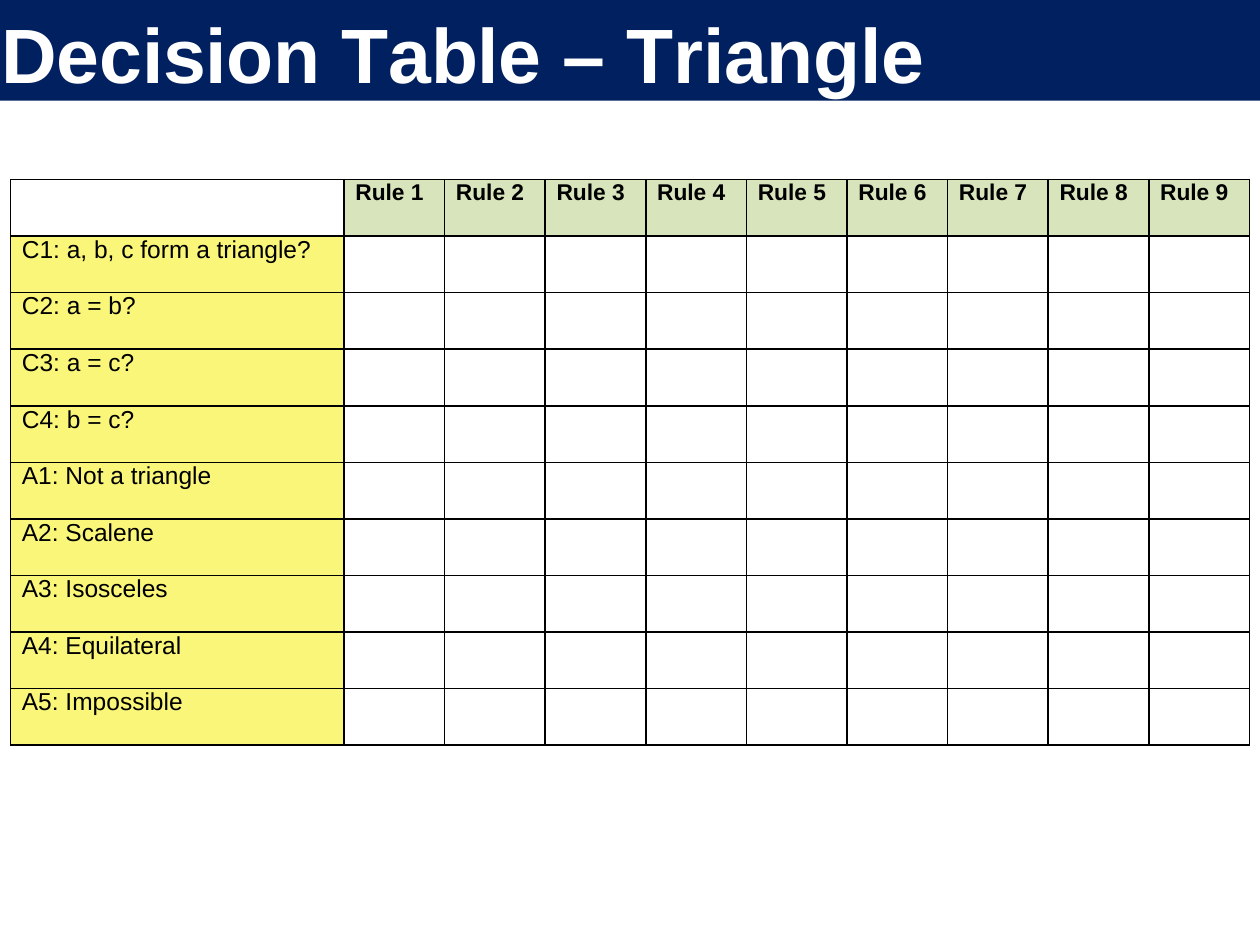
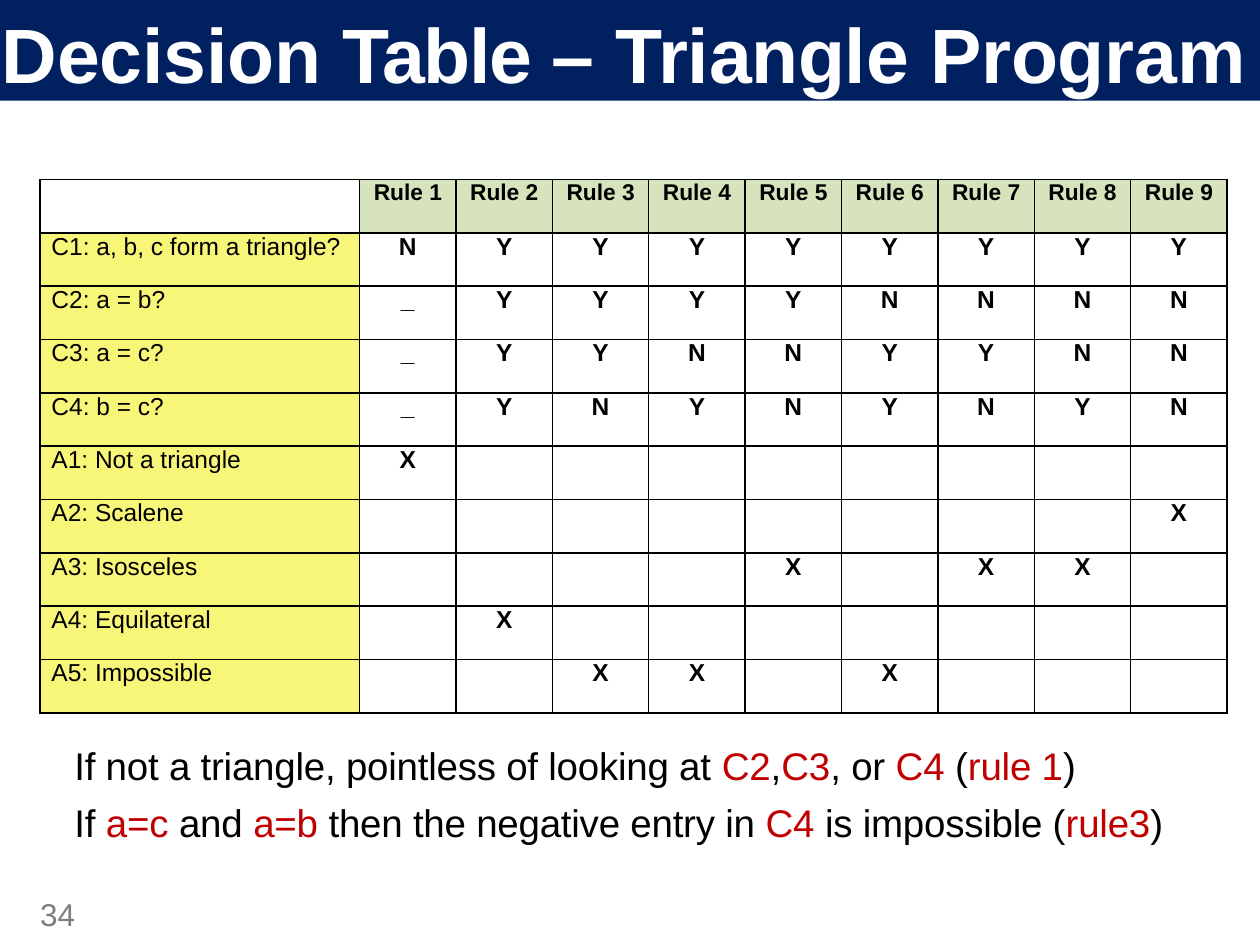
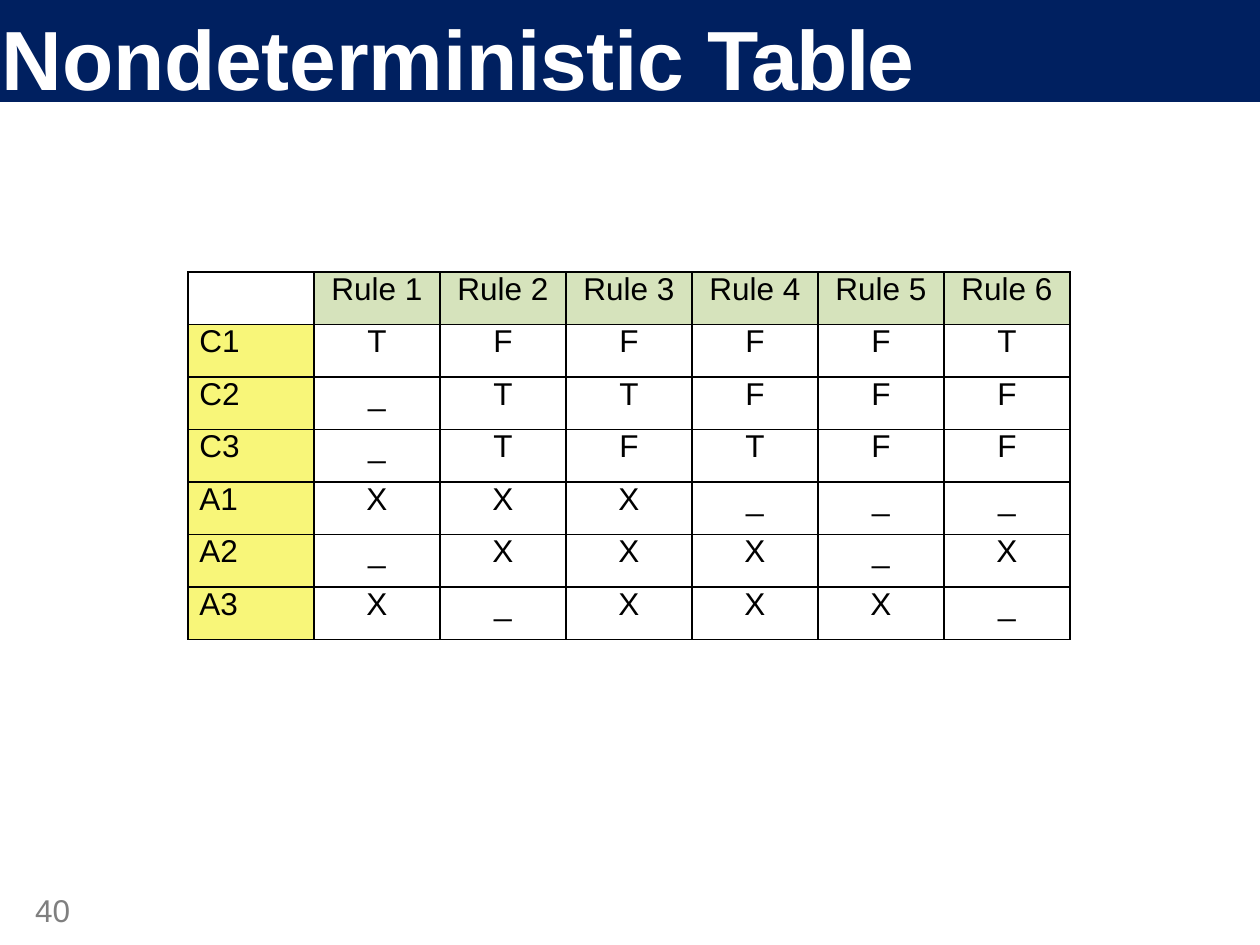
from itertools import cycle

from lxml import etree
from pptx import Presentation
from pptx.dml.color import RGBColor
from pptx.enum import shapes, text as text_enum
from pptx.oxml import ns
from pptx.util import Pt

FONT = "Arial"
NAVY, WHITE, BLACK, RED, GREY = "002060", "FFFFFF", "000000", "C00000", "7F7F7F"
PAGE_WIDTH, PAGE_HEIGHT = 720, 540
CELL_INDENT = 6.5
LEFT, CENTER = text_enum.PP_ALIGN.LEFT, text_enum.PP_ALIGN.CENTER

TRIANGLE_LABELS = [
    "C1: a, b, c form a triangle?", "C2: a = b?", "C3: a = c?", "C4: b = c?",
    "A1: Not a triangle", "A2: Scalene", "A3: Isosceles", "A4: Equilateral",
    "A5: Impossible",
]
# One string per table row, one letter per rule; a dot leaves the cell empty.
TRIANGLE_ENTRIES = [
    "NYYYYYYYY", "_YYYYNNNN", "_YYNNYYNN", "_YNYNYNYN", "X........",
    "........X", "....X.XX.", ".X.......", "..XX.X...",
]
NONDETERMINISTIC_LABELS = ["C1", "C2", "C3", "A1", "A2", "A3"]
NONDETERMINISTIC_ENTRIES = ["TFFFFT", "_TTFFF", "_TFTFF", "XXX___", "_XXX_X", "X_XXX_"]

# Text between bars is red.
TRIANGLE_NOTES = [
    "If not a triangle, pointless of looking at |C2|,|C3|, or |C4 |(|rule 1|)",
    "If |a=c |and |a=b |then the negative entry in |C4 |is impossible (|rule3|)",
]


def rgb(value):
    return RGBColor.from_string(value)


def add_span(para, text, size=18, color=BLACK, bold=False, spacing=0):
    span = para.add_run()
    span.text = text
    font = span.font
    font.name, font.size, font.bold = FONT, Pt(size), bold
    font.color.rgb = rgb(color)
    if spacing:
        span._r.get_or_add_rPr().set("spc", str(round(spacing * 100)))


def set_insets(target, left=0, top=0):
    """Set the margins of a text frame or table cell."""
    target.margin_left, target.margin_top = Pt(left), Pt(top)
    target.margin_right = target.margin_bottom = 0


def add_title(page, pieces, size, height):
    """Draw the title band; pieces are (text, letter spacing) pairs."""
    band = page.shapes.add_shape(
        shapes.MSO_SHAPE.RECTANGLE, 0, 0, Pt(PAGE_WIDTH), Pt(height))
    band.shadow.inherit = False
    band.fill.solid()
    band.fill.fore_color.rgb = rgb(NAVY)
    band.line.fill.background()
    frame = band.text_frame
    frame.word_wrap = False
    frame.vertical_anchor = text_enum.MSO_ANCHOR.TOP
    set_insets(frame, left=1, top=3.5)
    para = frame.paragraphs[0]
    para.alignment = LEFT
    for text, spacing in pieces:
        add_span(para, text, size=size, color=WHITE, bold=True, spacing=spacing)


def add_text_box(page, left, top, width, height):
    box = page.shapes.add_textbox(Pt(left), Pt(top), Pt(width), Pt(height))
    box.text_frame.word_wrap = True
    set_insets(box.text_frame)
    return box.text_frame


def add_page_number(page, number, left, top):
    frame = add_text_box(page, left, top, 26, PAGE_HEIGHT - top)
    add_span(frame.paragraphs[0], number, color=GREY)


def add_notes(page, lines):
    frame = add_text_box(page, 42.5, 424, 645, 60)
    for index, line in enumerate(lines):
        para = frame.add_paragraph() if index else frame.paragraphs[0]
        if index:
            para.space_before = Pt(6)
        for text, color in zip(line.split("|"), cycle([BLACK, RED])):
            add_span(para, text, size=22, color=color, spacing=-0.1)


def outline_cell(cell):
    props = cell._tc.get_or_add_tcPr()
    for side in ("lnL", "lnR", "lnT", "lnB"):
        line = etree.SubElement(props, ns.qn("a:" + side), w=str(Pt(1)))
        fill = etree.SubElement(line, ns.qn("a:solidFill"))
        etree.SubElement(fill, ns.qn("a:srgbClr"), val=BLACK)


def fill_cell(cell, text, fill=None, align=LEFT, **style):
    set_insets(cell, left=CELL_INDENT if align == LEFT else 0)
    outline_cell(cell)
    if fill:
        cell.fill.solid()
        cell.fill.fore_color.rgb = rgb(fill)
    else:
        cell.fill.background()
    para = cell.text_frame.paragraphs[0]
    para.alignment = align
    if text:
        add_span(para, text, **style)


def add_decision_table(page, left, top, label_width, rule_width, row_height,
                       labels, entries, head_fill="D6E3BC", label_fill="F8F679",
                       head_align=CENTER, head_size=13, size=14, bold=True):
    rules = len(entries[0])
    rows = len(labels) + 1
    frame = page.shapes.add_table(
        rows, rules + 1, Pt(left), Pt(top),
        Pt(label_width + rules * rule_width), Pt(rows * row_height))
    table = frame.table
    table.first_row = table.horz_banding = False
    for index, column in enumerate(table.columns):
        column.width = Pt(rule_width if index else label_width)
    for row in table.rows:
        row.height = Pt(row_height)

    fill_cell(table.cell(0, 0), "")
    for rule in range(1, rules + 1):
        fill_cell(table.cell(0, rule), f"Rule {rule}", fill=head_fill,
                  align=head_align, size=head_size, bold=bold)
    for row, (label, marks) in enumerate(zip(labels, entries), start=1):
        fill_cell(table.cell(row, 0), label, fill=label_fill, size=size)
        for rule, mark in enumerate(marks, start=1):
            fill_cell(table.cell(row, rule), mark.strip("."), align=CENTER,
                      size=size, bold=bold)


def main():
    deck = Presentation()
    deck.slide_width, deck.slide_height = Pt(PAGE_WIDTH), Pt(PAGE_HEIGHT)
    blank_table, filled_table, nondeterministic = (
        deck.slides.add_slide(deck.slide_layouts[6]) for _ in range(3))

    add_title(blank_table, [("Decision ", -0.2), ("T", -4.8), ("able – ", -0.2),
                            ("T", -1.8), ("riangle", -0.2)], 44, 57.6)
    add_decision_table(blank_table, 6, 102.6, 190.6, 57.5, 32.33,
                       TRIANGLE_LABELS, ["." * 9] * len(TRIANGLE_LABELS),
                       head_fill="D7E4BC", label_fill="F9F679", head_align=LEFT)

    add_title(filled_table, [("Decision ", -0.1), ("Table ", -0.9), ("– ", -0.1),
                             ("Triangle ", -0.2), ("Program", -0.1)], 44, 57.6)
    add_page_number(filled_table, "34", 23, 511.5)
    add_decision_table(filled_table, 22.9, 102.6, 182.6, 55.1, 30.48,
                       TRIANGLE_LABELS, TRIANGLE_ENTRIES)
    add_notes(filled_table, TRIANGLE_NOTES)

    add_title(nondeterministic, [("Nondeterministic ", -0.1), ("Table", -0.9)], 48, 58.3)
    add_page_number(nondeterministic, "40", 20, 509)
    add_decision_table(nondeterministic, 107.4, 155.4, 72, 72, 30,
                       NONDETERMINISTIC_LABELS, NONDETERMINISTIC_ENTRIES,
                       head_size=18, size=18, bold=False)

    deck.save("out.pptx")


if __name__ == "__main__":
    main()
